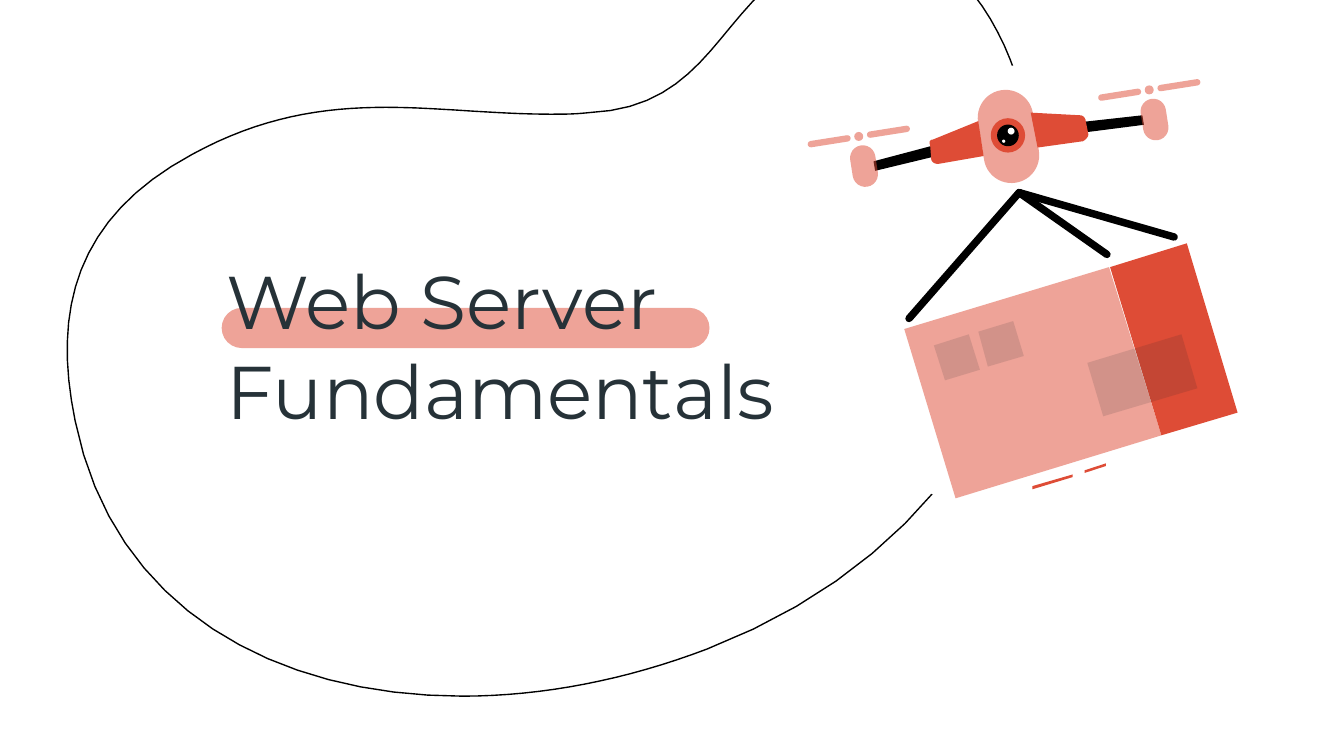
from lxml.etree import SubElement
from pptx import Presentation
from pptx.dml.color import RGBColor
from pptx.enum.shapes import MSO_CONNECTOR, MSO_SHAPE
from pptx.enum.text import MSO_ANCHOR, MSO_AUTO_SIZE, PP_ALIGN
from pptx.oxml.ns import qn
from pptx.util import Cm, Pt

COLORS = {"ink": "000000", "title": "263238", "red": "DE4C36",
          "label": "1A2327", "paper": "FFFFFF"}
FONT = "Montserrat"
TILT = -9  # degrees, shared by every part of the drone
CURVE_STEPS = 16

LOOP = [
    [(16.54, -1.12)],
    [(16.15, -1.12), (15.72, -1.02), (15.27, -0.79)],
    [(13.56, 0.1), (13.44, 2.03), (11.13, 2.13)],
    [(10.87, 2.16), (10.64, 2.16), (10.44, 2.16)],
    [(9.32, 2.16), (8.31, 2.03), (7.29, 2.03)],
    [(6.1, 2.03), (4.93, 2.21), (3.63, 2.92)],
    [(1.42, 4.11), (0.99, 5.87), (1.42, 7.95)],
    [(2.13, 11.51), (5.21, 13.16), (8.74, 13.16)],
    [(10.26, 13.16), (11.84, 12.85), (13.36, 12.27)],
    [(18.19, 10.41), (20.42, 6.15), (19.33, 1.88)],
    [(19.02, 0.58), (18.08, -1.12), (16.54, -1.12)],
]
RIGHT_SHOULDER = [
    [(19.48, 2.13)], [(19.61, 2.79)], [(20.47, 2.67)],
    [(20.52, 2.64), (20.57, 2.59), (20.57, 2.54)], [(20.52, 2.29)],
    [(20.52, 2.24), (20.47, 2.18), (20.42, 2.18)],
]
LEFT_SHOULDER = [
    [(18.49, 2.29)], [(17.63, 2.64)],
    [(17.58, 2.64), (17.55, 2.69), (17.58, 2.74)], [(17.6, 3)],
    [(17.6, 3.05), (17.65, 3.1), (17.73, 3.1)], [(18.59, 2.95)],
]


def paint(shape, color, opacity=100):
    shape.shadow.inherit = False
    shape.line.fill.background()
    shape.fill.solid()
    shape.fill.fore_color.rgb = RGBColor.from_string(COLORS[color])
    if opacity < 100:
        tone = shape.fill._xPr.find(qn("a:solidFill"))[0]
        SubElement(tone, qn("a:alpha"), val=str(opacity * 1000))


def curve_points(start, controls):
    """Points along a cubic curve, without its start."""
    weights = [((1 - t) ** 3, 3 * t * (1 - t) ** 2, 3 * t * t * (1 - t), t ** 3)
               for t in (step / CURVE_STEPS for step in range(1, CURVE_STEPS + 1))]
    return [tuple(sum(w * p[axis] for w, p in zip(weight, (start, *controls)))
                  for axis in (0, 1)) for weight in weights]


def add_outline(slide, segments):
    """Closed outline; a segment is one corner or the three points of a curve."""
    points = list(segments[0])
    for segment in segments[1:]:
        points += segment if len(segment) == 1 else curve_points(points[-1], segment)
    (x, y), *rest = [(Cm(x), Cm(y)) for x, y in points]
    builder = slide.shapes.build_freeform(x, y)
    builder.add_line_segments(rest, close=True)
    return builder.convert_to_shape()


def add_polygon(slide, corners, color, opacity=100):
    paint(add_outline(slide, [[corner] for corner in corners]), color, opacity)


def add_centered(slide, preset, center, size, color, opacity=100, tilt=0):
    (x, y), (width, height) = center, size
    shape = slide.shapes.add_shape(preset, Cm(x - width / 2), Cm(y - height / 2),
                                   Cm(width), Cm(height))
    shape.rotation = tilt
    paint(shape, color, opacity)
    return shape


def add_pill(slide, center, size, tilt=TILT):
    pill = add_centered(slide, MSO_SHAPE.ROUNDED_RECTANGLE, center, size,
                        "red", 51, tilt)
    pill.adjustments[0] = 0.5


def add_disc(slide, center, diameter, color, opacity=100):
    add_centered(slide, MSO_SHAPE.OVAL, center, (diameter, diameter), color, opacity)


def add_strap(slide, start, end):
    strap = slide.shapes.add_connector(
        MSO_CONNECTOR.STRAIGHT, *(Cm(value) for value in (*start, *end)))
    strap.line.color.rgb = RGBColor.from_string(COLORS["ink"])
    strap.line.width = Pt(4)
    strap.line._ln.set("cap", "rnd")
    SubElement(strap._element.spPr, qn("a:effectLst"))


def add_loop(slide):
    loop = add_outline(slide, LOOP)
    loop.shadow.inherit = False
    loop.fill.background()
    loop.line.color.rgb = RGBColor.from_string(COLORS["ink"])
    loop.line.width = Pt(0.75)


def add_title(slide):
    title = slide.shapes.title
    slide.shapes._spTree.append(title._element)  # in front of the highlight
    title.left, title.top, title.width, title.height = (
        Cm(4.04), Cm(4.57), Cm(11.63), Cm(2.01))
    frame = title.text_frame
    frame.text = "Web Server Fundamentals"
    frame.word_wrap = True
    frame.auto_size = MSO_AUTO_SIZE.NONE
    frame.vertical_anchor = MSO_ANCHOR.TOP
    frame.margin_left = frame.margin_right = Cm(0.25)
    frame.margin_top = frame.margin_bottom = Cm(0.25)
    line = frame.paragraphs[0]
    line.alignment = PP_ALIGN.LEFT
    line.line_spacing = 1.0
    font = line.runs[0].font
    font.name, font.size = FONT, Pt(40)
    font.color.rgb = RGBColor.from_string(COLORS["title"])


def add_parcel(slide):
    for dash in ([(20.27, 8.97), (19.51, 9.19), (19.51, 9.25), (20.27, 9.02)],
                 [(20.9, 8.76), (20.5, 8.89), (20.5, 8.94), (20.9, 8.81)]):
        add_polygon(slide, dash, "red")
    add_polygon(slide, [(20.96, 5.05), (17.09, 6.22), (18.06, 9.42), (21.95, 8.23)],
                "red", 51)
    add_polygon(slide, [(22.43, 4.6), (20.98, 5.05), (21.95, 8.23), (23.39, 7.8)], "red")
    for label in ([(22.33, 6.32), (20.55, 6.86), (20.85, 7.87), (22.63, 7.34)],
                  [(18.31, 6.32), (17.65, 6.53), (17.86, 7.19), (18.52, 6.99)],
                  [(19.15, 6.07), (18.49, 6.27), (18.67, 6.93), (19.35, 6.73)]):
        add_polygon(slide, label, "label", 13)


def add_rotor(slide, hub):
    x, y = hub
    add_pill(slide, (x + 0.1, y + 0.56), (0.48, 0.79))
    add_disc(slide, hub, 0.17, "red", 51)
    for side in (-1, 1):
        add_pill(slide, (x + side * 0.56, y - side * 0.09), (0.82, 0.12))


def add_drone(slide):
    add_pill(slide, (19.06, 2.58), (1.05, 1.77))
    eye = (19.05, 2.56)
    for center, diameter, color in ((eye, 0.65, "red"), (eye, 0.41, "ink"),
                                    ((19.11, 2.48), 0.13, "paper"),
                                    ((18.97, 2.67), 0.06, "paper")):
        add_disc(slide, center, diameter, color)
    wings = (
        ([(21.59, 2.18), (20.42, 2.31), (20.45, 2.51), (21.62, 2.36)],
         RIGHT_SHOULDER, (21.72, 1.7)),
        ([(17.68, 2.74), (16.51, 3.05), (16.54, 3.23), (17.7, 2.95)],
         LEFT_SHOULDER, (16.23, 2.58)),
    )
    for arm, shoulder, hub in wings:
        add_polygon(slide, arm, "ink")
        add_rotor(slide, hub)
        paint(add_outline(slide, shoulder), "red")


def main():
    prs = Presentation()
    prs.slide_width, prs.slide_height = Cm(25.4), Cm(14.29)
    slide = prs.slides.add_slide(prs.slide_layouts[5])
    add_loop(slide)
    add_pill(slide, (8.8, 6.2), (9.22, 0.76), tilt=0)
    add_title(slide)
    add_disc(slide, (19.81, 5.56), 8.74, "paper")
    add_parcel(slide)
    add_drone(slide)
    for end in ((22.19, 4.48), (20.92, 4.81), (17.18, 6.02)):
        add_strap(slide, (19.26, 3.64), end)
    prs.save("out.pptx")


if __name__ == "__main__":
    main()
